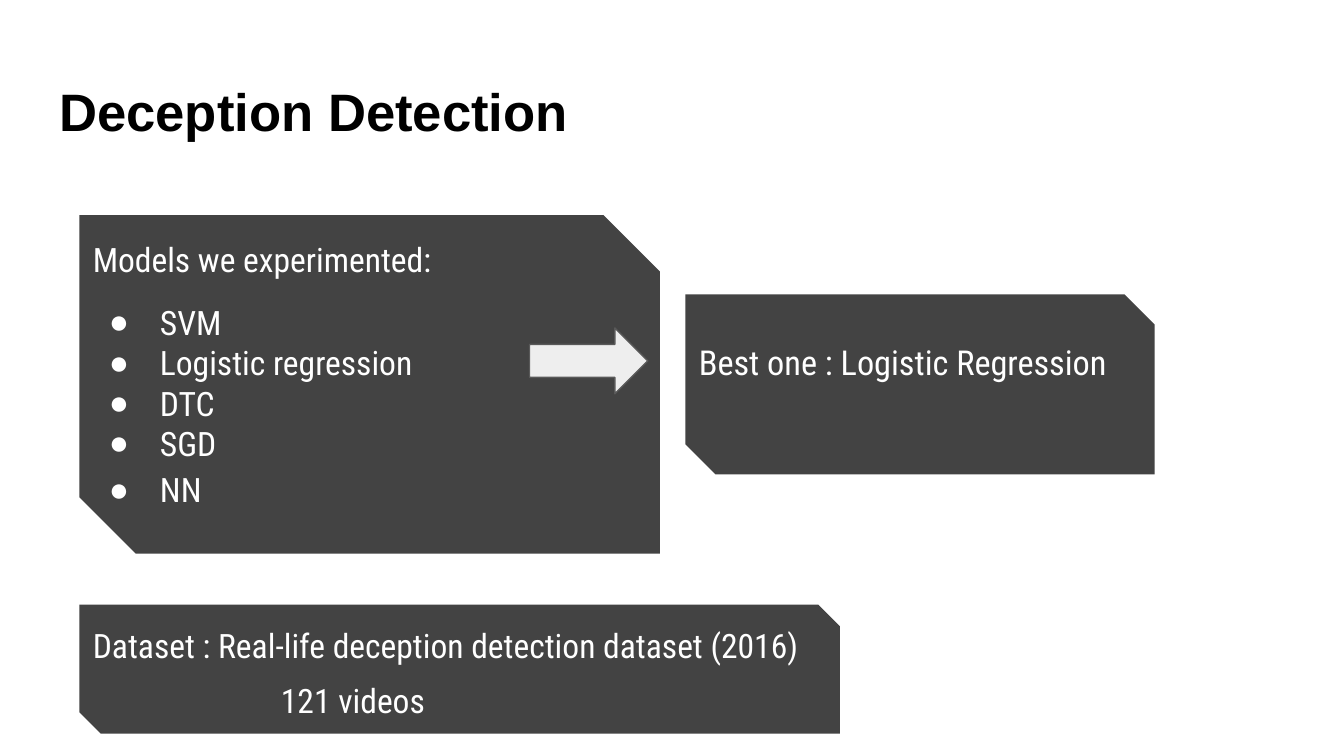
from dataclasses import dataclass

from pptx import Presentation
from pptx.dml.color import RGBColor
from pptx.enum.shapes import MSO_SHAPE
from pptx.enum.text import MSO_ANCHOR, MSO_AUTO_SIZE, PP_ALIGN
from pptx.oxml.ns import qn
from pptx.util import Emu, Pt
from lxml.etree import SubElement

PX = 9144  # 100 px to the inch
SLIDE_WIDTH = 1000 * PX
SLIDE_HEIGHT = SLIDE_WIDTH * 9 // 16
COMPARISON_LAYOUT = 4

BLACK = RGBColor(0x00, 0x00, 0x00)
WHITE = RGBColor(0xFF, 0xFF, 0xFF)
PANEL_GREY = RGBColor(0x43, 0x43, 0x43)
ARROW_FILL = RGBColor(0xEE, 0xEE, 0xEE)
ARROW_LINE = RGBColor(0x59, 0x59, 0x59)
TITLE_FONT = "Arial"
BODY_FONT = "Roboto Condensed"


@dataclass(frozen=True)
class Box:
    left: int
    top: int
    width: int
    height: int

    def lengths(self) -> tuple:
        return tuple(Emu(n * PX) for n in (self.left, self.top, self.width, self.height))


@dataclass(frozen=True)
class Line:
    text: str
    bullet: bool = False
    margin: int = 0
    space_before: int = 0
    spacing: float = 1.0


@dataclass(frozen=True)
class Body:
    box: Box
    size: float
    lines: tuple


def model(name: str, space_before: int = 0, spacing: float = 1.0) -> Line:
    return Line(name, True, 50, space_before, spacing)


PANELS = (Box(510, 219, 349, 134), Box(59, 450, 566, 96), Box(59, 160, 432, 252))
ARROW = Box(394, 244, 88, 49)
TITLE = Box(34, 49, 932, 63)
BODIES = (
    Body(Box(59, 168, 384, 374), 18, (
        Line("Models we experimented:"),
        model("SVM", space_before=12),
        model("Logistic regression"),
        model("DTC"),
        model("SGD"),
        model("NN", spacing=1.15),
    )),
    Body(Box(510, 250, 384, 73), 18.4, (
        Line("Best one : Logistic Regression", spacing=0.8),
    )),
    Body(Box(59, 461, 835, 73), 18, (
        Line("Dataset : Real-life deception detection dataset (2016)", spacing=0.8),
        Line("121 videos", margin=140, space_before=12, spacing=0.8),
    )),
)


def add_filled_shape(slide, kind: MSO_SHAPE, box: Box, fill: RGBColor):
    shape = slide.shapes.add_shape(kind, *box.lengths())
    shape.shadow.inherit = False
    shape.fill.solid()
    shape.fill.fore_color.rgb = fill
    shape.line.fill.background()
    return shape


def prepare_placeholder(slide, placeholder, box: Box):
    """Place the placeholder in front of the shapes and return its text frame."""
    placeholder.left, placeholder.top, placeholder.width, placeholder.height = box.lengths()
    slide.shapes.element.append(placeholder.element)
    frame = placeholder.text_frame
    frame.word_wrap = True
    frame.auto_size = MSO_AUTO_SIZE.NONE
    frame.vertical_anchor = MSO_ANCHOR.TOP
    frame.margin_left = frame.margin_right = Emu(10 * PX)
    frame.margin_top = frame.margin_bottom = Emu(10 * PX)
    return frame


def add_text(paragraph, text: str, font_name: str, size: float,
             color: RGBColor, bold: bool) -> None:
    paragraph.alignment = PP_ALIGN.LEFT
    run = paragraph.add_run()
    run.text = text
    run.font.name = font_name
    run.font.size = Pt(size)
    run.font.color.rgb = color
    run.font.bold = bold


def set_bullet(paragraph, line: Line) -> None:
    properties = paragraph._p.get_or_add_pPr()
    properties.set("marL", str(line.margin * PX))
    properties.set("indent", str(-38 * PX if line.bullet else 0))
    if line.bullet:
        color = SubElement(properties, qn("a:buClr"))
        SubElement(color, qn("a:srgbClr")).set("val", str(WHITE))
        SubElement(properties, qn("a:buChar")).set("char", "●")
    else:
        SubElement(properties, qn("a:buNone"))


def fill_body(slide, placeholder, body: Body) -> None:
    frame = prepare_placeholder(slide, placeholder, body.box)
    for index, line in enumerate(body.lines):
        paragraph = frame.add_paragraph() if index else frame.paragraphs[0]
        set_bullet(paragraph, line)
        paragraph.space_before = Pt(line.space_before)
        paragraph.line_spacing = line.spacing
        add_text(paragraph, line.text, BODY_FONT, body.size, WHITE, False)


def main() -> None:
    presentation = Presentation()
    presentation.slide_width = Emu(SLIDE_WIDTH)
    presentation.slide_height = Emu(SLIDE_HEIGHT)
    slide = presentation.slides.add_slide(presentation.slide_layouts[COMPARISON_LAYOUT])
    title, *body_placeholders = list(slide.placeholders)

    for panel in PANELS:
        add_filled_shape(slide, MSO_SHAPE.SNIP_2_DIAG_RECTANGLE, panel, PANEL_GREY)
    arrow = add_filled_shape(slide, MSO_SHAPE.RIGHT_ARROW, ARROW, ARROW_FILL)
    arrow.line.color.rgb = ARROW_LINE
    arrow.line.width = Pt(0.75)

    title_frame = prepare_placeholder(slide, title, TITLE)
    add_text(title_frame.paragraphs[0], "Deception Detection", TITLE_FONT, 28.2, BLACK, True)
    for placeholder, body in zip(body_placeholders, BODIES):
        fill_body(slide, placeholder, body)
    for unused in body_placeholders[len(BODIES):]:
        slide.shapes.element.remove(unused.element)

    presentation.save("out.pptx")


if __name__ == "__main__":
    main()
